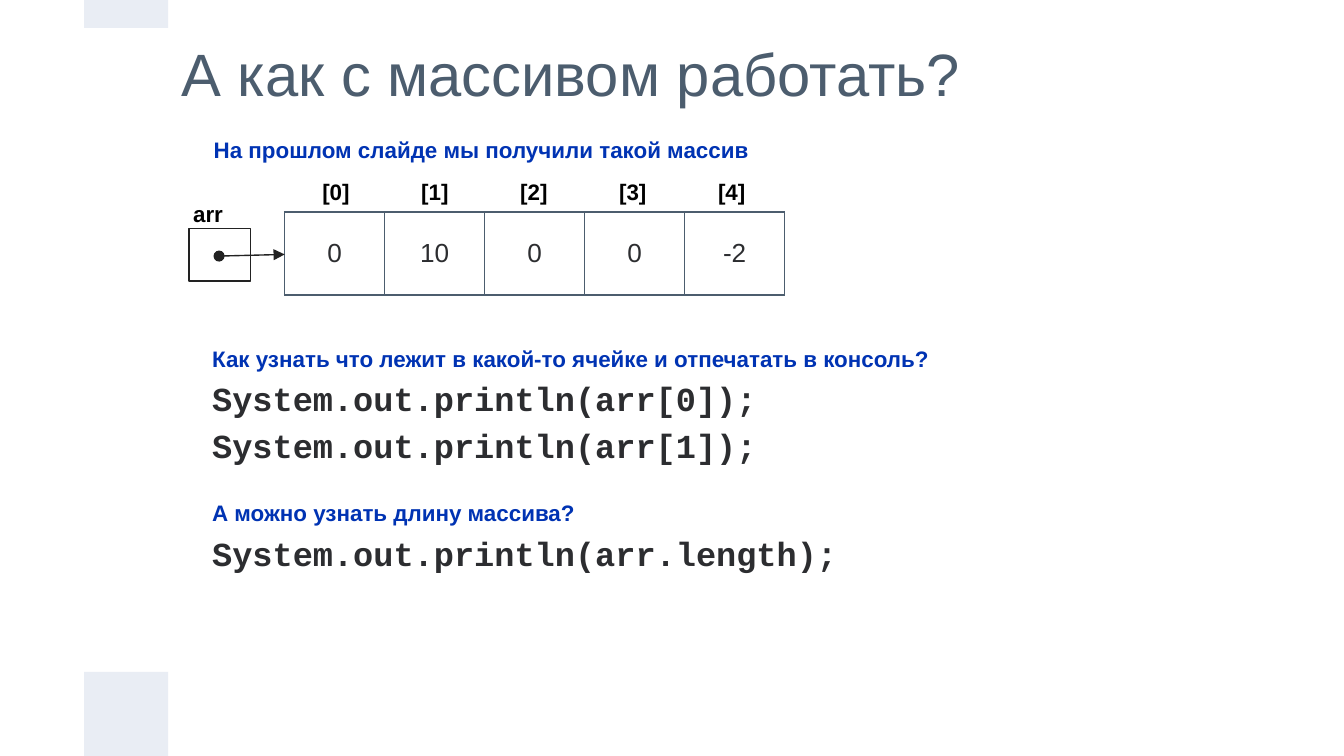
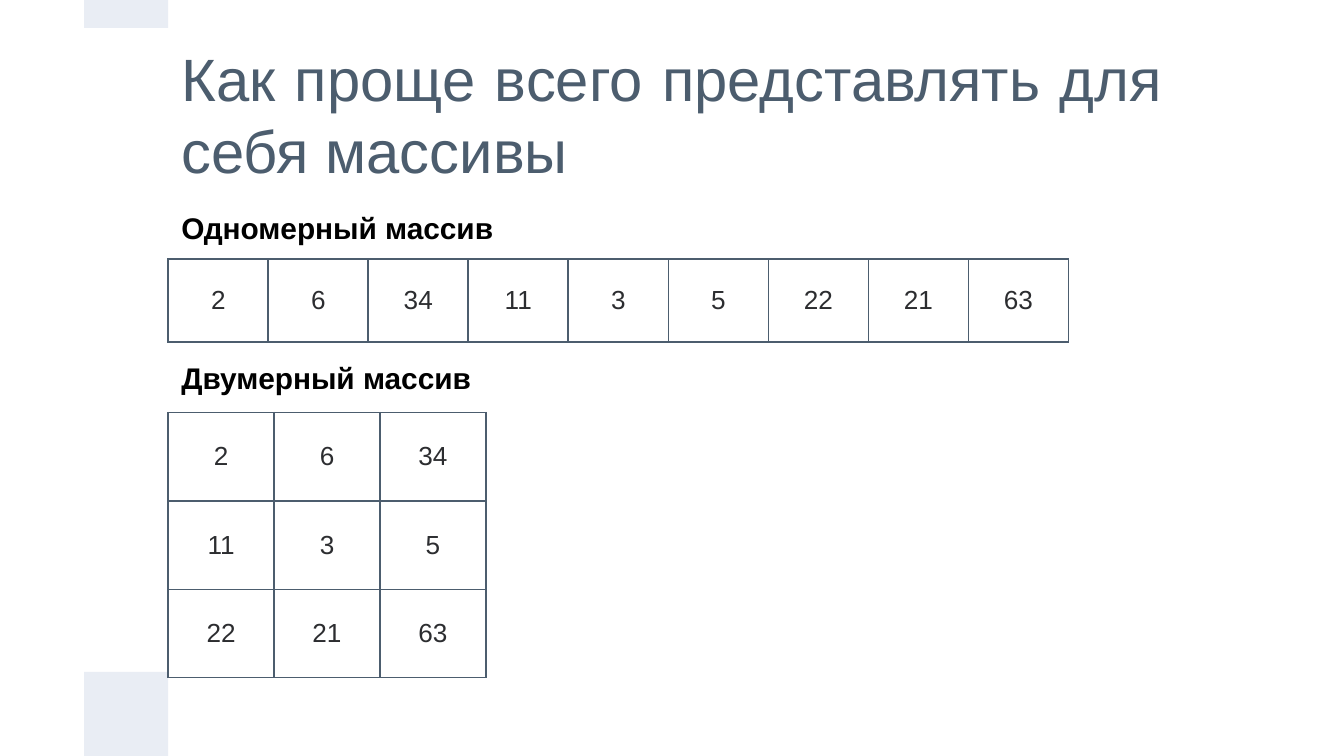
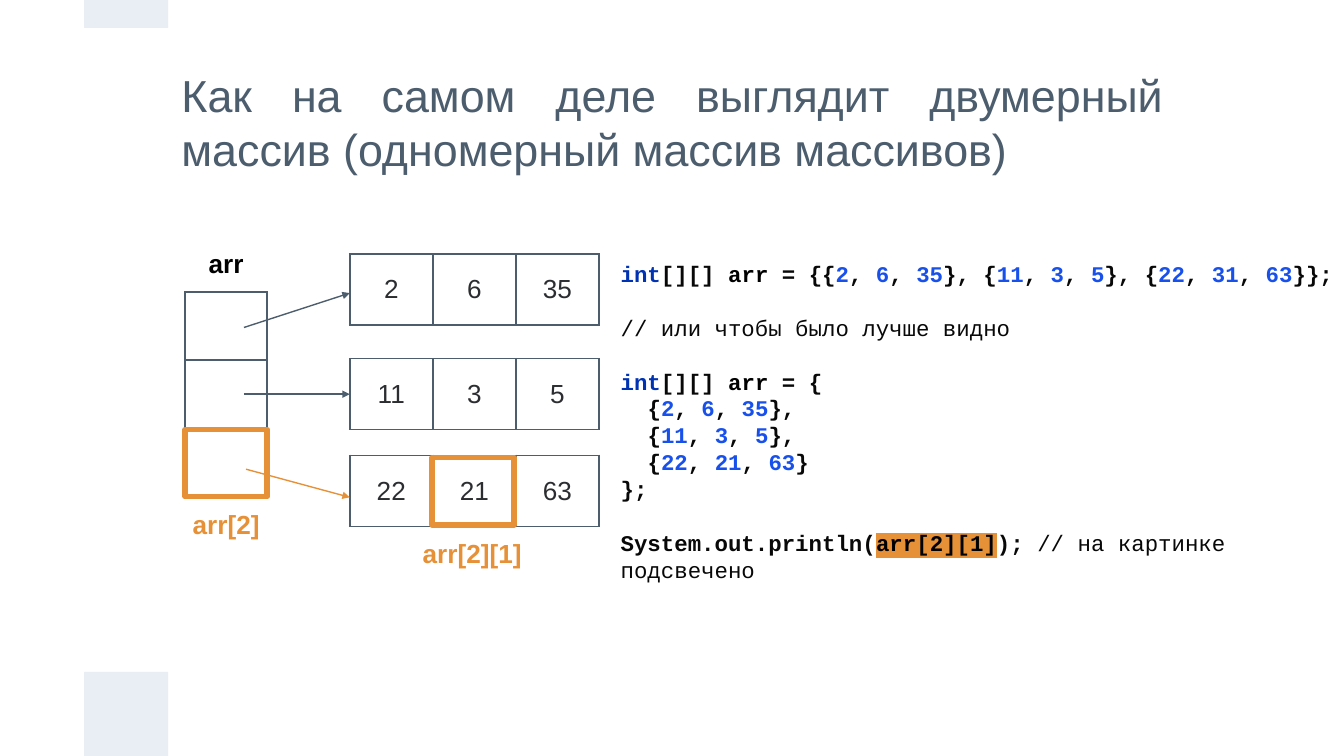
from dataclasses import dataclass
from itertools import groupby
from typing import Optional, Sequence, Union

from lxml import etree
from pptx import Presentation
from pptx.dml.color import RGBColor
from pptx.enum.shapes import MSO_CONNECTOR, MSO_SHAPE
from pptx.enum.text import MSO_ANCHOR, MSO_AUTO_SIZE, PP_ALIGN
from pptx.oxml.ns import qn
from pptx.util import Cm, Pt

RECTANGLE = MSO_SHAPE.RECTANGLE
STRAIGHT = MSO_CONNECTOR.STRAIGHT
LEFT, CENTER, JUSTIFY = PP_ALIGN.LEFT, PP_ALIGN.CENTER, PP_ALIGN.JUSTIFY
TOP, MIDDLE = MSO_ANCHOR.TOP, MSO_ANCHOR.MIDDLE


@dataclass(frozen=True)
class Theme:
    band: str = "E9EDF4"
    slate: str = "4C5D6E"
    body: str = "2C2D30"
    ink: str = "222222"
    black: str = "000000"
    code: str = "080808"
    keyword: str = "0033B3"
    number: str = "1750EB"
    accent: str = "E69138"
    font: str = "Arial"
    code_font: str = "Courier New"
    title_size: float = 32
    long_title_size: float = 24
    code_size: float = 18
    heading_size: float = 16
    cell_size: float = 14
    small_size: float = 12
    thin: float = 0.75
    border: float = 1
    thick: float = 3
    spread: float = 1.15
    blank_line: float = 14.4


THEME = Theme()


@dataclass(frozen=True)
class Box:
    """A frame in centimetres."""
    left: float
    top: float
    width: float
    height: float

    def lengths(self) -> tuple:
        return Cm(self.left), Cm(self.top), Cm(self.width), Cm(self.height)


@dataclass(frozen=True)
class Run:
    """A piece of text; unset fields fall back to the format of its text box."""
    text: str
    color: Optional[str] = None
    size: Optional[float] = None
    font: Optional[str] = None
    bold: Optional[bool] = None
    highlight: Optional[str] = None


@dataclass(frozen=True)
class Line:
    runs: Sequence[Run]
    before: float = 0
    indent: float = 0
    tabs: Sequence[float] = ()


@dataclass(frozen=True)
class ArrayRow:
    """One inner array and the arrow that leads to it."""
    values: Sequence[str]
    top: float
    start: tuple
    end: tuple
    color: str = THEME.slate


BANDS = (Box(1.59, 12.7, 1.59, 1.59), Box(1.59, 0, 1.59, 0.53))
TABLE_FRAME = Cm(8.33)


def rgb(color: str) -> RGBColor:
    return RGBColor.from_string(color)


def format_run(run, text: str, *, size: float, color: str, font: str = THEME.font,
               bold: bool = False, highlight: Optional[str] = None) -> None:
    run.text = text
    run.font.size = Pt(size)
    run.font.name = font
    run.font.bold = bold
    run.font.color.rgb = rgb(color)
    if highlight:
        mark = etree.Element(qn("a:highlight"))
        etree.SubElement(mark, qn("a:srgbClr"), val=highlight)
        run.font._element.find(qn("a:solidFill")).addnext(mark)


def add_center_tabs(paragraph, positions: Sequence[float]) -> None:
    tabs = etree.SubElement(paragraph._p.get_or_add_pPr(), qn("a:tabLst"))
    for position in positions:
        etree.SubElement(tabs, qn("a:tab"), pos=str(Cm(position)), algn="ctr")


def add_text(slide, box: Box, text: Union[str, Sequence[Line]], *, size: float, color: str,
             font: str = THEME.font, bold: bool = False, align=LEFT, anchor=TOP,
             line_spacing: Optional[float] = None, grow: bool = True) -> None:
    frame = slide.shapes.add_textbox(*box.lengths()).text_frame
    frame.word_wrap = True
    frame.auto_size = MSO_AUTO_SIZE.SHAPE_TO_FIT_TEXT if grow else MSO_AUTO_SIZE.NONE
    frame.vertical_anchor = anchor
    frame.margin_left = frame.margin_right = frame.margin_top = frame.margin_bottom = Cm(0.25)
    lines = [Line([Run(text)])] if isinstance(text, str) else text
    for index, line in enumerate(lines):
        paragraph = frame.add_paragraph() if index else frame.paragraphs[0]
        paragraph.alignment = align
        paragraph.space_before = Pt(line.before)
        if line_spacing:
            paragraph.line_spacing = line_spacing
        if line.indent:
            paragraph._p.get_or_add_pPr().set("marL", str(Cm(line.indent)))
        if line.tabs:
            add_center_tabs(paragraph, line.tabs)
        for part in line.runs:
            format_run(paragraph.add_run(), part.text, size=part.size or size,
                       color=part.color or color, font=part.font or font,
                       bold=bold if part.bold is None else part.bold,
                       highlight=part.highlight)


def add_rectangle(slide, box: Box, *, fill: Optional[str] = None,
                  line: Optional[str] = None, width: float = THEME.thin) -> None:
    shape = slide.shapes.add_shape(RECTANGLE, *box.lengths())
    shape.shadow.inherit = False
    if fill:
        shape.fill.solid()
        shape.fill.fore_color.rgb = rgb(fill)
    else:
        shape.fill.background()
    if line:
        shape.line.color.rgb = rgb(line)
        shape.line.width = Pt(width)
    else:
        shape.line.fill.background()


def add_arrow(slide, start: tuple, end: tuple, *, color: str, dot: bool = False,
              head_size: str = "med") -> None:
    arrow = slide.shapes.add_connector(STRAIGHT, *map(Cm, start + end))
    arrow.line.color.rgb = rgb(color)
    arrow.line.width = Pt(THEME.thin)
    outline = arrow.line._get_or_add_ln()
    if dot:
        etree.SubElement(outline, qn("a:headEnd"), type="oval")
    etree.SubElement(outline, qn("a:tailEnd"), type="triangle", w=head_size, len=head_size)
    etree.SubElement(arrow._element.spPr, qn("a:effectLst"))


def add_borders(cell) -> None:
    properties = cell._tc.get_or_add_tcPr()
    for side in ("lnL", "lnR", "lnT", "lnB"):
        border = etree.SubElement(properties, qn(f"a:{side}"), w=str(Pt(THEME.border)))
        fill = etree.SubElement(border, qn("a:solidFill"))
        etree.SubElement(fill, qn("a:srgbClr"), val=THEME.slate)


def add_grid(slide, left: float, top: float, rows: Sequence[Sequence[str]], *,
             cell_width: float, cell_height: float) -> None:
    """Draw an array as a table of equal cells."""
    box = Box(left, top, cell_width * len(rows[0]), cell_height * len(rows))
    frame = slide.shapes.add_table(len(rows), len(rows[0]), *box.lengths())
    table = frame.table
    table.first_row = table.horz_banding = False
    for column in table.columns:
        column.width = Cm(cell_width)
    for table_row, values in zip(table.rows, rows):
        table_row.height = Cm(cell_height)
        for cell, value in zip(table_row.cells, values):
            add_borders(cell)
            cell.fill.background()
            cell.vertical_anchor = MIDDLE
            if value:
                paragraph = cell.text_frame.paragraphs[0]
                paragraph.alignment = CENTER
                format_run(paragraph.add_run(), value, size=THEME.cell_size, color=THEME.body)
    frame.width = frame.height = TABLE_FRAME


def add_titled_slide(presentation, title: str, *, top: float, height: float,
                     size: float = THEME.title_size, align=JUSTIFY):
    slide = presentation.slides.add_slide(presentation.slide_layouts[6])
    for band in BANDS:
        add_rectangle(slide, band, fill=THEME.band)
    add_text(slide, Box(3.18, top, 19.05, height), title, size=size, color=THEME.slate,
             align=align, anchor=MIDDLE, grow=False)
    return slide


def token_kind(character: str) -> str:
    if character.isdigit():
        return "number"
    return "word" if character.isalpha() else "sign"


def code_line(text: str, before: float = 0, indent: float = 0) -> Line:
    """Colour keywords, names and numbers of a line of code."""
    runs = []
    for kind, characters in groupby(text, token_kind):
        token = "".join(characters)
        if kind == "number":
            color = THEME.number
        elif kind == "word":
            color = THEME.keyword if token == "int" else THEME.black
        else:
            color = THEME.code
        runs.append(Run(token, color))
    return Line(runs, before, indent)


def build_access_slide(presentation) -> None:
    slide = add_titled_slide(presentation, "А как с массивом работать?",
                             top=0.34, height=2.06, align=LEFT)
    values = ["0", "10", "0", "0", "-2"]
    add_rectangle(slide, Box(3.57, 4.32, 1.17, 0.99), line=THEME.ink)
    add_grid(slide, 5.38, 4.01, [values], cell_width=1.89, cell_height=1.57)
    add_arrow(slide, (4.14, 4.84), (5.38, 4.81), color=THEME.ink, dot=True)
    add_text(slide, Box(3.4, 3.53, 1.73, 1.02), "arr", size=THEME.small_size,
             color=THEME.black, bold=True, align=JUSTIFY)
    indexes = "".join(f"\t[{index}]" for index in range(len(values)))
    index_tabs = [0.72 + 1.87 * index for index in range(len(values))]
    add_text(slide, Box(5.38, 3.11, 9.42, 1.02), [Line([Run(indexes)], tabs=index_tabs)],
             size=THEME.small_size, color=THEME.black, bold=True)

    def question(text: str, before: float = 0) -> Line:
        return Line([Run(text, THEME.keyword, THEME.small_size, THEME.font)], before, 0.36)

    def statement(text: str) -> Line:
        return Line([Run(text)], indent=0.36)

    add_text(slide, Box(3.4, 6.2, 16.43, 4.83), [
        question("Как узнать что лежит в какой-то ячейке и отпечатать в консоль?"),
        statement("System.out.println(arr[0]);"),
        statement("System.out.println(arr[1]);"),
        question("А можно узнать длину массива?", before=16.5),
        statement("System.out.println(arr.length);"),
    ], size=THEME.code_size, color=THEME.body, font=THEME.code_font, bold=True,
        line_spacing=THEME.spread)
    add_text(slide, Box(3.79, 2.24, 13.61, 1.02), "На прошлом слайде мы получили такой массив",
             size=THEME.small_size, color=THEME.keyword, bold=True, line_spacing=THEME.spread)


def build_model_slide(presentation) -> None:
    slide = add_titled_slide(presentation, "Как проще всего представлять для себя массивы",
                             top=0.56, height=3.18)
    numbers = ["2", "6", "34", "11", "3", "5", "22", "21", "63"]
    square = [numbers[start:start + 3] for start in range(0, len(numbers), 3)]

    def add_heading(text: str, top: float) -> None:
        add_text(slide, Box(3.18, top, 11.89, 1.19), text, size=THEME.heading_size,
                 color=THEME.black, bold=True)

    add_grid(slide, 3.18, 4.9, [numbers], cell_width=1.89, cell_height=1.57)
    add_heading("Одномерный массив", 3.71)
    add_grid(slide, 3.18, 7.8, square, cell_width=2, cell_height=1.67)
    add_heading("Двумерный массив", 6.55)


def build_nested_slide(presentation) -> None:
    slide = add_titled_slide(
        presentation, "Как на самом деле выглядит двумерный массив (одномерный массив массивов)",
        top=0.5, height=3.61, size=THEME.long_title_size)
    rows = (
        ArrayRow(["2", "6", "35"], 4.8, (4.61, 6.19), (6.61, 5.54)),
        ArrayRow(["11", "3", "5"], 6.78, (4.61, 7.45), (6.61, 7.45)),
        ArrayRow(["22", "21", "63"], 8.61, (4.65, 8.87), (6.61, 9.4), THEME.accent),
    )
    add_grid(slide, 3.5, 5.52, [[""]] * len(rows), cell_width=1.55, cell_height=1.29)
    for row in rows:
        add_grid(slide, 6.61, row.top, [row.values], cell_width=1.57, cell_height=1.34)
    for row in rows:
        add_arrow(slide, row.start, row.end, color=row.color, head_size="sm")

    gap = THEME.blank_line
    add_text(slide, Box(11.48, 4.67, 14.07, 6.68), [
        code_line("int[][] arr = {{2, 6, 35}, {11, 3, 5}, {22, 31, 63}};"),
        Line([Run("// или чтобы было лучше видно", bold=False)], before=gap),
        code_line("int[][] arr = {", before=gap),
        code_line("{2, 6, 35},", indent=0.51),
        code_line("{11, 3, 5},", indent=0.51),
        code_line("{22, 21, 63}", indent=0.51),
        code_line("};"),
        Line([Run("System.out.println("),
              Run("arr[2][1]", THEME.black, highlight=THEME.accent),
              Run("); "),
              Run("// на картинке подсвечено", bold=False)], before=gap),
    ], size=THEME.small_size, color=THEME.code, font=THEME.code_font, bold=True)

    def add_label(text: str, box: Box, color: str = THEME.accent) -> None:
        add_text(slide, box, text, size=THEME.cell_size, color=color, bold=True, align=CENTER)

    add_label("arr", Box(3.5, 4.42, 1.55, 1.12), THEME.black)
    for label, label_box, frame in (
        ("arr[2]", Box(3.27, 9.36, 2.01, 1.12), Box(3.5, 8.12, 1.55, 1.27)),
        ("arr[2][1]", Box(7.72, 9.91, 2.41, 1.12), Box(8.17, 8.65, 1.55, 1.27)),
    ):
        add_rectangle(slide, frame, line=THEME.accent, width=THEME.thick)
        add_label(label, label_box)


def main() -> None:
    presentation = Presentation()
    presentation.slide_width, presentation.slide_height = Cm(25.4), Cm(14.29)
    build_access_slide(presentation)
    build_model_slide(presentation)
    build_nested_slide(presentation)
    presentation.save("out.pptx")


if __name__ == "__main__":
    main()
